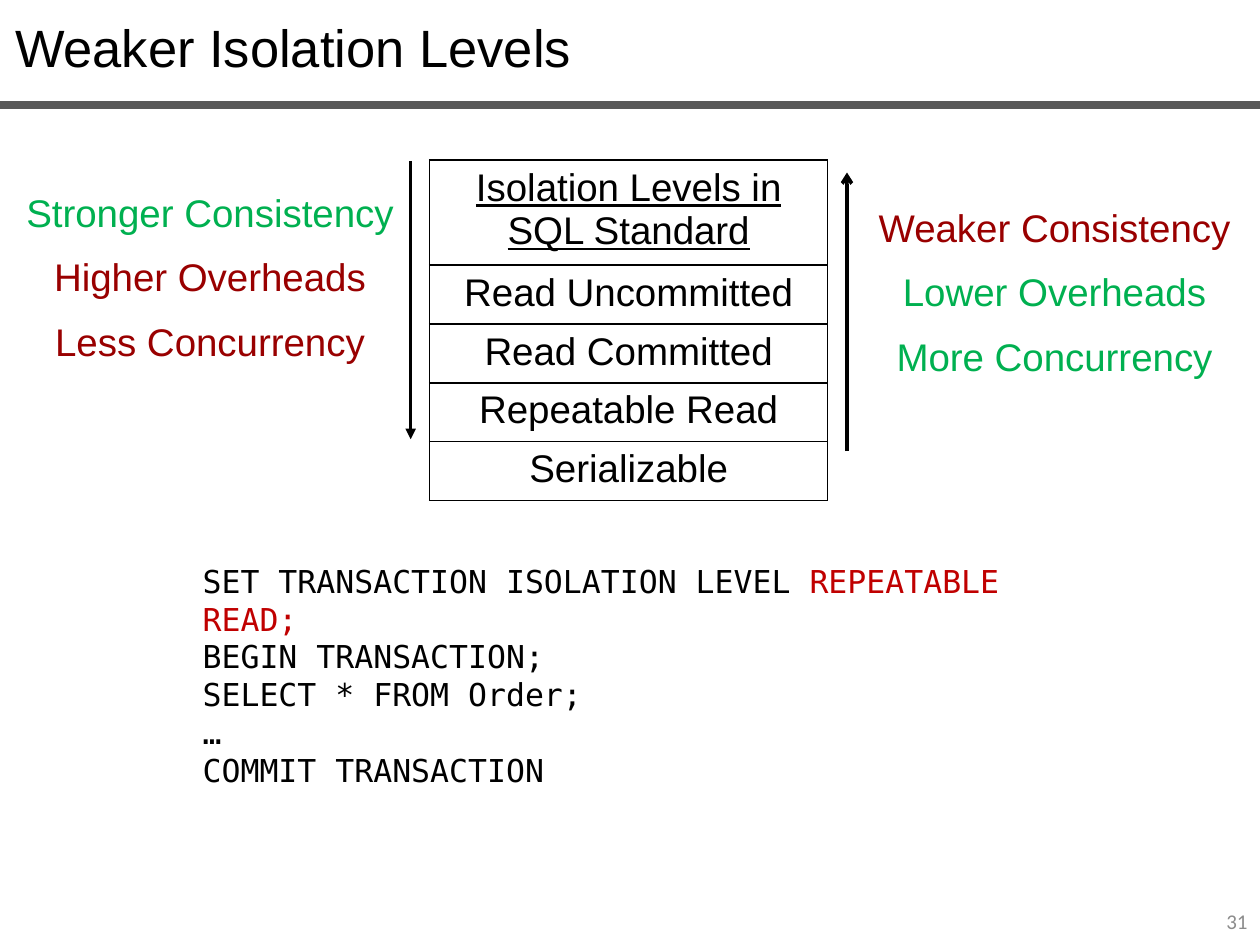
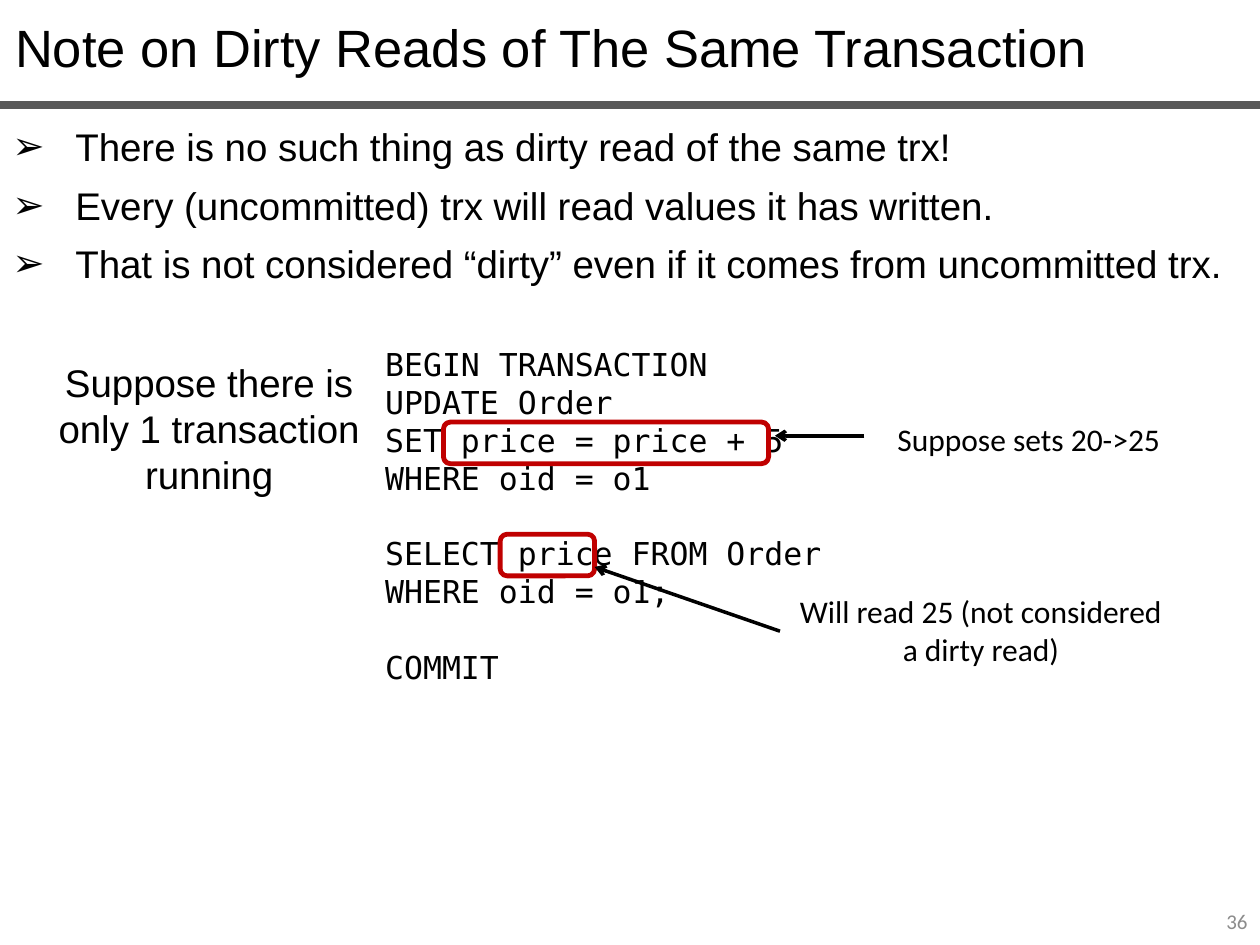
from dataclasses import dataclass

from lxml.etree import SubElement
from pptx import Presentation
from pptx.dml.color import RGBColor
from pptx.enum.shapes import MSO_CONNECTOR, MSO_SHAPE
from pptx.enum.text import MSO_ANCHOR as Anchor, MSO_AUTO_SIZE as AutoSize, PP_ALIGN as Align
from pptx.oxml.ns import qn
from pptx.util import Pt


@dataclass(frozen=True)
class TextStyle:
    """A font with its size in points and the color it has by default."""
    font: str
    size: float
    color: str = "000000"

    @property
    def line_height(self):
        """Return the usual distance between lines in points."""
        return self.size * 1.2


@dataclass(frozen=True)
class Theme:
    """Colors and type styles that the slides share."""
    ink: str = "000000"
    rule: str = "595959"
    good: str = "00B050"
    bad: str = "990000"
    accent: str = "C00000"
    title: TextStyle = TextStyle("Arial", 30)
    body: TextStyle = TextStyle("Arial", 22)
    code: TextStyle = TextStyle("DejaVu Sans Mono", 18)
    note: TextStyle = TextStyle("Calibri", 18)
    number: TextStyle = TextStyle("Calibri", 12, "8C8C8C")


THEME = Theme()
SLIDE_WIDTH, SLIDE_HEIGHT = 720, 540


def write_text(frame, lines, *, style, color=None, align=Align.LEFT, underline=False,
               line_height=None, bullet=None, gaps_before=()):
    """Fill a text frame with lines, each a string or a list of (text, color) runs."""
    for index, line in enumerate(lines):
        paragraph = frame.add_paragraph() if index else frame.paragraphs[0]
        paragraph.alignment = align
        if bullet:
            add_bullet(paragraph, bullet)
        if line_height:
            paragraph.line_spacing = Pt(line_height)
        if index in gaps_before:
            paragraph.space_before = Pt(style.line_height)
        runs = [(line, color)] if isinstance(line, str) else line
        for text, run_color in runs:
            run = paragraph.add_run()
            run.text = text
            run.font.name = style.font
            run.font.size = Pt(style.size)
            run.font.underline = underline
            run.font.color.rgb = RGBColor.from_string(run_color or style.color)


def add_bullet(paragraph, character, indent=36):
    """Give a paragraph a bullet with a hanging indent."""
    properties = paragraph._p.get_or_add_pPr()
    properties.set("marL", str(int(Pt(indent))))
    properties.set("indent", str(-int(Pt(indent))))
    SubElement(properties, qn("a:buFont")).set("typeface", "Arial")
    SubElement(properties, qn("a:buChar")).set("char", character)


def add_text(slide, box, lines, *, style, anchor=Anchor.TOP, grow=True, **text_format):
    """Add a wrapping text box."""
    frame = slide.shapes.add_textbox(*map(Pt, box)).text_frame
    frame.word_wrap = True
    frame.auto_size = AutoSize.SHAPE_TO_FIT_TEXT if grow else AutoSize.NONE
    frame.vertical_anchor = anchor
    text_format.setdefault("line_height", style.line_height)
    write_text(frame, lines, style=style, **text_format)


def add_line(slide, start, end, *, color=THEME.ink, width=2, arrow=None):
    """Add a straight line, with an arrowhead at its end if one is named."""
    line = slide.shapes.add_connector(MSO_CONNECTOR.STRAIGHT, *map(Pt, (*start, *end)))
    line.line.color.rgb = RGBColor.from_string(color)
    line.line.width = Pt(width)
    if arrow:
        SubElement(line.line._get_or_add_ln(), qn("a:tailEnd")).set("type", arrow)
    SubElement(line._element.spPr, qn("a:effectLst"))


def add_highlight(slide, box):
    """Add a rounded outline around a piece of code."""
    outline = slide.shapes.add_shape(MSO_SHAPE.ROUNDED_RECTANGLE, *map(Pt, box))
    outline.fill.background()
    outline.line.color.rgb = RGBColor.from_string(THEME.accent)
    outline.line.width = Pt(2.75)
    outline.shadow.inherit = False


def add_borders(cell, width=1):
    """Draw all four borders of a table cell."""
    properties = cell._tc.get_or_add_tcPr()
    for position, side in enumerate(("lnL", "lnR", "lnT", "lnB")):
        border = SubElement(properties, qn(f"a:{side}"), w=str(int(Pt(width))))
        fill = SubElement(border, qn("a:solidFill"))
        SubElement(fill, qn("a:srgbClr")).set("val", THEME.ink)
        properties.insert(position, border)


def add_level_table(slide, left, top, width, header, levels):
    """Add a one-column table of levels below an underlined header."""
    heights = [60] + [33.6] * len(levels)
    frame = slide.shapes.add_table(len(heights), 1, *map(Pt, (left, top, width, sum(heights))))
    table = frame.table
    table.first_row = table.horz_banding = False
    for index, (text, height) in enumerate(zip([header, *levels], heights)):
        table.rows[index].height = Pt(height)
        cell = table.cell(index, 0)
        cell.fill.background()
        add_borders(cell)
        write_text(cell.text_frame, [text], style=THEME.body, align=Align.CENTER,
                   underline=index == 0)


def add_effects(slide, left, top, effects):
    """Stack centered effects, each a (text, color) pair, at equal steps."""
    for index, (text, color) in enumerate(effects):
        add_text(slide, (left, top + index * 36.9, 240, 33.8), [text], style=THEME.body,
                 color=color, align=Align.CENTER)


def add_titled_slide(presentation, title, number):
    """Add a slide with its title, rule and slide number."""
    slide = presentation.slides.add_slide(presentation.slide_layouts[5])
    shape = slide.shapes.title
    shape.left, shape.top, shape.width, shape.height = map(Pt, (1.4, 5, 718.6, 44))
    shape.text_frame.vertical_anchor = Anchor.TOP
    shape.text_frame.auto_size = AutoSize.SHAPE_TO_FIT_TEXT
    write_text(shape.text_frame, [title], style=THEME.title,
               line_height=THEME.title.line_height)
    add_line(slide, (0, 60), (SLIDE_WIDTH, 60), color=THEME.rule, width=4.5)
    add_text(slide, (552, 512, 168, 28.8), [str(number)], style=THEME.number,
             align=Align.RIGHT, anchor=Anchor.MIDDLE, grow=False)
    return slide


def add_isolation_slide(presentation):
    """Build the slide on isolation levels and their trade-offs."""
    slide = add_titled_slide(presentation, "Weaker Isolation Levels", 31)
    add_level_table(slide, 245.5, 91.5, 227.5, "Isolation Levels in SQL Standard",
                    ["Read Uncommitted", "Read Committed", "Repeatable Read", "Serializable"])
    add_line(slide, (234.7, 92), (234.7, 251), arrow="triangle")
    add_effects(slide, 0, 104.4, [("Stronger Consistency", THEME.good),
                                  ("Higher Overheads", THEME.bad),
                                  ("Less Concurrency", THEME.bad)])
    add_line(slide, (484, 257.8), (484, 98.6), arrow="arrow")
    add_effects(slide, 482.6, 113, [("Weaker Consistency", THEME.bad),
                                    ("Lower Overheads", THEME.good),
                                    ("More Concurrency", THEME.good)])
    add_text(slide, (108.7, 317.5, 503.3, 116.6), [
        [("SET TRANSACTION ISOLATION LEVEL ", THEME.ink), ("REPEATABLE READ;", THEME.accent)],
        "BEGIN TRANSACTION;",
        "SELECT * FROM Order;",
        "…",
        "COMMIT TRANSACTION",
    ], style=THEME.code)


def add_dirty_read_slide(presentation):
    """Build the slide on reads of a transaction's own writes."""
    slide = add_titled_slide(presentation, "Note on Dirty Reads of The Same Transaction", 36)
    add_text(slide, (0, 60, SLIDE_WIDTH, 103.7), [
        "There is no such thing as dirty read of the same trx!",
        "Every (uncommitted) trx will read values it has written.",
        "That is not considered “dirty” even if it comes from uncommitted trx.",
    ], style=THEME.body, line_height=33.4, bullet="➢")
    add_text(slide, (213, 193.7, 339, 203.8), [
        "BEGIN TRANSACTION",
        "UPDATE Order",
        "SET price = price + 5",
        "WHERE oid = o1",
        "SELECT price FROM Order",
        "WHERE oid = o1;",
        "COMMIT",
    ], style=THEME.code, gaps_before=(4, 6))
    add_highlight(slide, (285.8, 305.3, 54, 23.8))
    add_line(slide, (445.7, 360.7), (339.8, 324), arrow="arrow")
    add_text(slide, (445.7, 334.8, 229.7, 51), ["Will read 25 (not considered a dirty read)"],
             style=THEME.note, align=Align.CENTER)
    add_highlight(slide, (253.4, 241.2, 185.8, 23.8))
    add_line(slide, (494, 249), (442.8, 249), arrow="arrow")
    add_text(slide, (496.8, 236.2, 182.2, 28.8), ["Suppose sets 20->25"],
             style=THEME.note, align=Align.CENTER)
    add_text(slide, (15.8, 201.6, 207.4, 87), ["Suppose there is only 1 transaction running"],
             style=THEME.body, align=Align.CENTER)


def main():
    """Build and save the presentation."""
    presentation = Presentation()
    presentation.slide_width, presentation.slide_height = Pt(SLIDE_WIDTH), Pt(SLIDE_HEIGHT)
    add_isolation_slide(presentation)
    add_dirty_read_slide(presentation)
    presentation.save("out.pptx")


if __name__ == "__main__":
    main()
